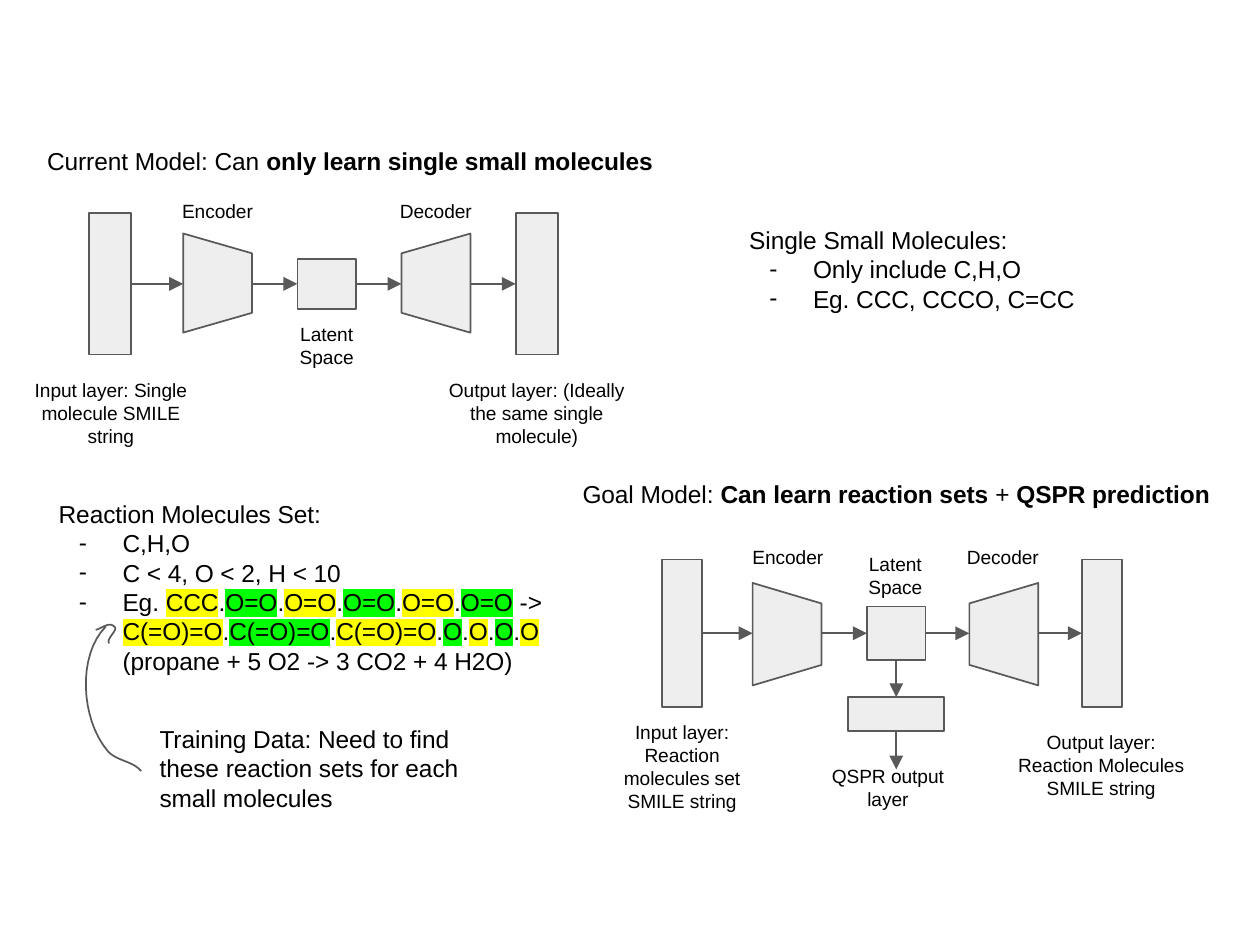
from itertools import pairwise

from lxml.etree import SubElement
from pptx import Presentation
from pptx.dml.color import RGBColor
from pptx.enum.shapes import MSO_CONNECTOR as CONNECTOR, MSO_SHAPE as SHAPE
from pptx.enum.text import PP_ALIGN as ALIGN
from pptx.oxml.ns import qn
from pptx.util import Inches, Pt

BLACK = RGBColor(0x00, 0x00, 0x00)
GRAY = RGBColor(0x59, 0x59, 0x59)
PALE = RGBColor(0xEE, 0xEE, 0xEE)
YELLOW = RGBColor(0xFF, 0xFF, 0x00)
GREEN = RGBColor(0x00, 0xFF, 0x00)
BODY = 10.5
LABEL = 8.2

presentation = Presentation()
presentation.slide_width = Inches(7.5)
presentation.slide_height = Inches(7.5 * 3 / 4)
slide = presentation.slides.add_slide(presentation.slide_layouts[6])


def add_text(paragraphs, left, top, width, height, size=BODY, align=ALIGN.LEFT):
    box = slide.shapes.add_textbox(Inches(left), Inches(top), Inches(width), Inches(height))
    frame = box.text_frame
    frame.word_wrap = True
    frame.margin_left = frame.margin_right = Inches(0.08)
    frame.margin_top = frame.margin_bottom = Inches(0.08)
    for index, (style, runs) in enumerate(paragraphs):
        paragraph = frame.paragraphs[0] if index == 0 else frame.add_paragraph()
        paragraph.alignment = align
        if style != "plain":
            properties = paragraph._p.get_or_add_pPr()
            properties.set("marL", str(Inches(0.38)))
            properties.set("indent", str(Inches(-0.26) if style == "bullet" else 0))
        if style == "bullet":
            color = SubElement(properties, qn("a:buClr"))
            SubElement(color, qn("a:srgbClr")).set("val", str(BLACK))
            SubElement(properties, qn("a:buSzPts")).set("val", str(int(size * 100)))
            SubElement(properties, qn("a:buFont")).set("typeface", "Arial")
            SubElement(properties, qn("a:buChar")).set("char", "-")
        for text, bold, highlight in runs:
            run = paragraph.add_run()
            run.text = text
            run.font.size = Pt(size)
            run.font.bold = bold
            run.font.color.rgb = BLACK
            if highlight:
                marker = SubElement(run._r.get_or_add_rPr(), qn("a:highlight"))
                SubElement(marker, qn("a:srgbClr")).set("val", str(highlight))
            run.font.name = "Arial"


def plain(text, style="plain"):
    return style, [(text, False, None)]


models = [
    {
        "input": (SHAPE.RECTANGLE, 0.53, 1.27, 0.25, 0.84, 0),
        "encoder": (SHAPE.FLOWCHART_MANUAL_OPERATION, 1, 1.48, 0.59, 0.41, 270),
        "latent": (SHAPE.RECTANGLE, 1.77, 1.54, 0.35, 0.3, 0),
        "decoder": (SHAPE.FLOWCHART_MANUAL_OPERATION, 2.3, 1.48, 0.59, 0.41, 90),
        "output": (SHAPE.RECTANGLE, 3.07, 1.27, 0.25, 0.84, 0),
    },
    {
        "input": (SHAPE.RECTANGLE, 3.94, 3.33, 0.24, 0.88, 0),
        "encoder": (SHAPE.FLOWCHART_MANUAL_OPERATION, 4.38, 3.57, 0.61, 0.41, 270),
        "latent": (SHAPE.RECTANGLE, 5.16, 3.61, 0.35, 0.32, 0),
        "decoder": (SHAPE.FLOWCHART_MANUAL_OPERATION, 5.67, 3.57, 0.61, 0.41, 90),
        "output": (SHAPE.RECTANGLE, 6.44, 3.33, 0.24, 0.88, 0),
        "property": (SHAPE.RECTANGLE, 5.05, 4.15, 0.57, 0.2, 0),
    },
]

arrows = []
for model in models:
    blocks = {}
    for name, (kind, left, top, width, height, rotation) in model.items():
        block = slide.shapes.add_shape(kind, Inches(left), Inches(top), Inches(width), Inches(height))
        block.rotation = rotation
        block.shadow.inherit = False
        block.fill.solid()
        block.fill.fore_color.rgb = PALE
        block.line.color.rgb = GRAY
        block.line.width = Pt(0.75)
        blocks[name] = block

    middle = blocks["input"].top + blocks["input"].height // 2
    for start, end in pairwise(["input", "encoder", "latent", "decoder", "output"]):
        source, target = blocks[start], blocks[end]
        source_span = source.height if source.rotation else source.width
        target_span = target.height if target.rotation else target.width
        arrow = slide.shapes.add_connector(
            CONNECTOR.STRAIGHT,
            source.left + (source.width + source_span) // 2, middle,
            target.left + (target.width - target_span) // 2, middle)
        if not source.rotation:
            arrow.begin_connect(source, 3)
        if not target.rotation:
            arrow.end_connect(target, 1)
        arrows.append(arrow)

    if "property" in blocks:
        for start, end in [("latent", "property"), ("property", None)]:
            arrow = slide.shapes.add_connector(
                CONNECTOR.STRAIGHT, Inches(5.33), Inches(4.36), Inches(5.33), Inches(4.58))
            arrow.begin_connect(blocks[start], 2)
            if end:
                arrow.end_connect(blocks[end], 0)
            else:
                arrow.end_x = arrow.begin_x
            arrows.append(arrow)

for arrow in arrows:
    arrow.line.color.rgb = GRAY
    arrow.line.width = Pt(0.75)
    SubElement(arrow.line._get_or_add_ln(), qn("a:tailEnd")).set("type", "triangle")
    SubElement(arrow._element.spPr, qn("a:effectLst"))

labels = [
    ("Input layer: Single molecule SMILE string", 0.09, 2.17, 1.14, 0.38),
    ("Encoder", 0.96, 1.12, 0.67, 0.25),
    ("Decoder", 2.26, 1.12, 0.67, 0.25),
    ("Latent Space", 1.61, 1.84, 0.67, 0.25),
    ("Output layer: (Ideally the same single molecule)", 2.57, 2.17, 1.25, 0.38),
    ("Input layer: Reaction molecules set SMILE string", 3.5, 4.21, 1.12, 0.4),
    ("Encoder", 4.36, 3.18, 0.66, 0.26),
    ("Decoder", 5.64, 3.18, 0.66, 0.26),
    ("Latent Space", 5, 3.21, 0.66, 0.26),
    ("Output layer: Reaction Molecules SMILE string", 5.94, 4.27, 1.23, 0.4),
    ("QSPR output layer", 4.79, 4.47, 0.99, 0.4),
]
for text, *place in labels:
    add_text([plain(text)], *place, size=LABEL, align=ALIGN.CENTER)

add_text([("plain", [("Current Model: Can ", False, None),
                     ("only learn single small molecules", True, None)])],
         0.2, 0.79, 3.95, 0.45)
add_text([("plain", [("Goal Model: ", False, None),
                     ("Can learn reaction sets", True, None),
                     (" + ", False, None),
                     ("QSPR prediction", True, None)])],
         3.32, 2.77, 4.03, 0.47, align=ALIGN.CENTER)
add_text([plain("Single Small Molecules:"),
          plain("Only include C,H,O", "bullet"),
          plain("Eg. CCC, CCCO, C=CC", "bullet")],
         4.38, 1.26, 2.54, 0.98)

reactants = ["CCC"] + ["O=O"] * 5
products = ["C(=O)=O"] * 3 + ["O"] * 4
reaction = []
for lead, molecules in [("Eg. ", reactants), (" -> ", products)]:
    for index, molecule in enumerate(molecules):
        reaction.append((lead if index == 0 else ".", False, None))
        reaction.append((molecule, False, GREEN if index % 2 else YELLOW))
add_text([plain("Reaction Molecules Set:"),
          plain("C,H,O", "bullet"),
          plain("C < 4, O < 2, H < 10", "bullet"),
          ("bullet", reaction),
          plain("(propane + 5 O2 -> 3 CO2 + 4 H2O)", "indented")],
         0.27, 2.89, 3.27, 1.64)
add_text([plain("Training Data: Need to find these reaction sets for each small molecules")],
         0.87, 4.23, 2.14, 0.48)

pointer_curves = [
    [(0.84, 4.59), (0.79, 4.53), (0.69, 4.53), (0.64, 4.47),
     (0.48, 4.28), (0.46, 3.9), (0.63, 3.73)],
    [(0.57, 3.75), (0.61, 3.74), (0.65, 3.7), (0.68, 3.73),
     (0.71, 3.75), (0.63, 3.8), (0.65, 3.83)],
]
STEPS = 16
for controls in pointer_curves:
    points = []
    for first in range(0, len(controls) - 1, 3):
        for step in range(1, STEPS + 1):
            t = step / STEPS
            weights = [(1 - t) ** 3, 3 * t * (1 - t) ** 2, 3 * t ** 2 * (1 - t), t ** 3]
            bend = controls[first:first + 4]
            points.append([Inches(sum(w * point[axis] for w, point in zip(weights, bend)))
                           for axis in (0, 1)])
    builder = slide.shapes.build_freeform(Inches(controls[0][0]), Inches(controls[0][1]))
    builder.add_line_segments(points, close=False)
    curve = builder.convert_to_shape()
    curve.shadow.inherit = False
    curve.fill.background()
    curve.line.color.rgb = GRAY
    curve.line.width = Pt(0.75)

presentation.save("out.pptx")
